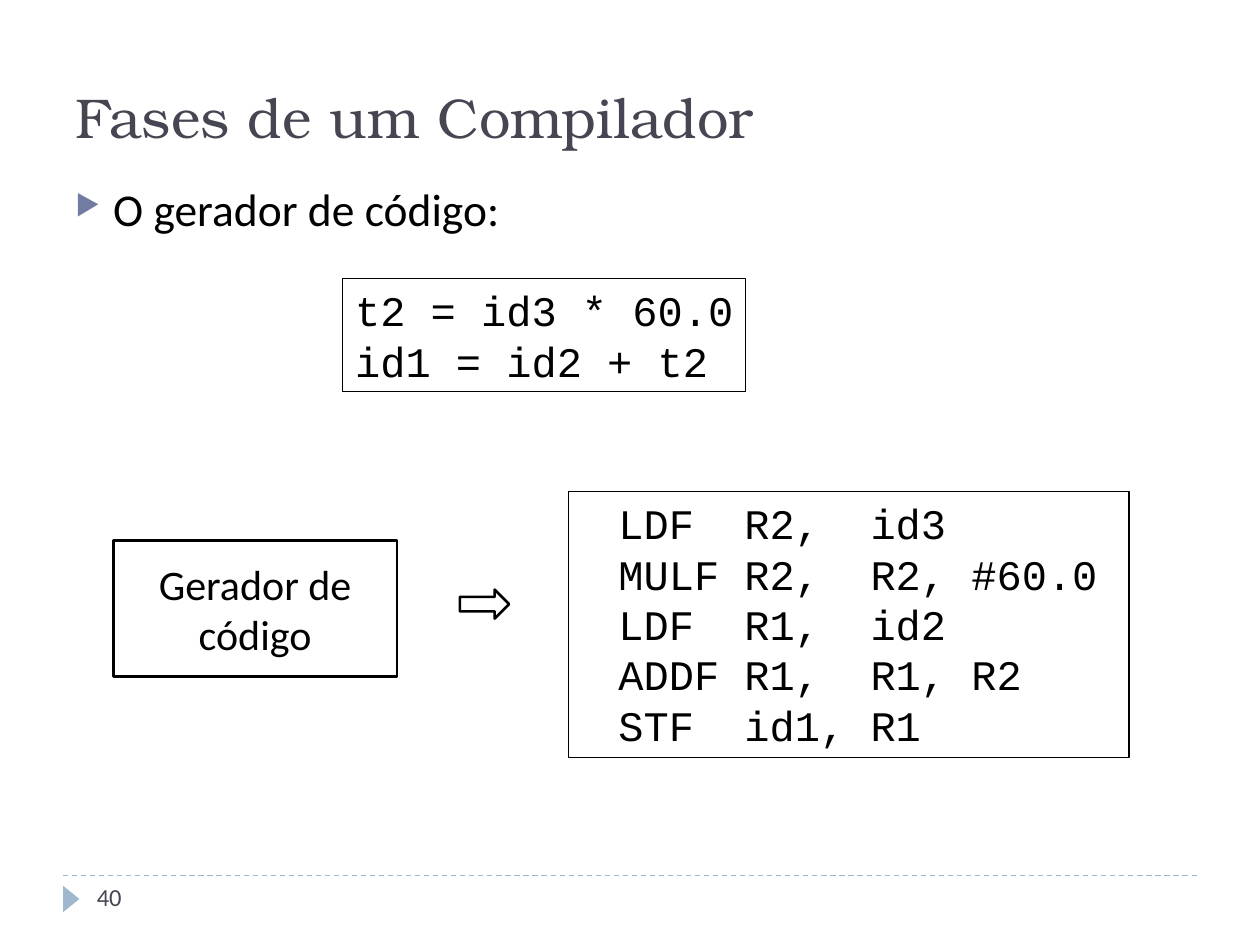
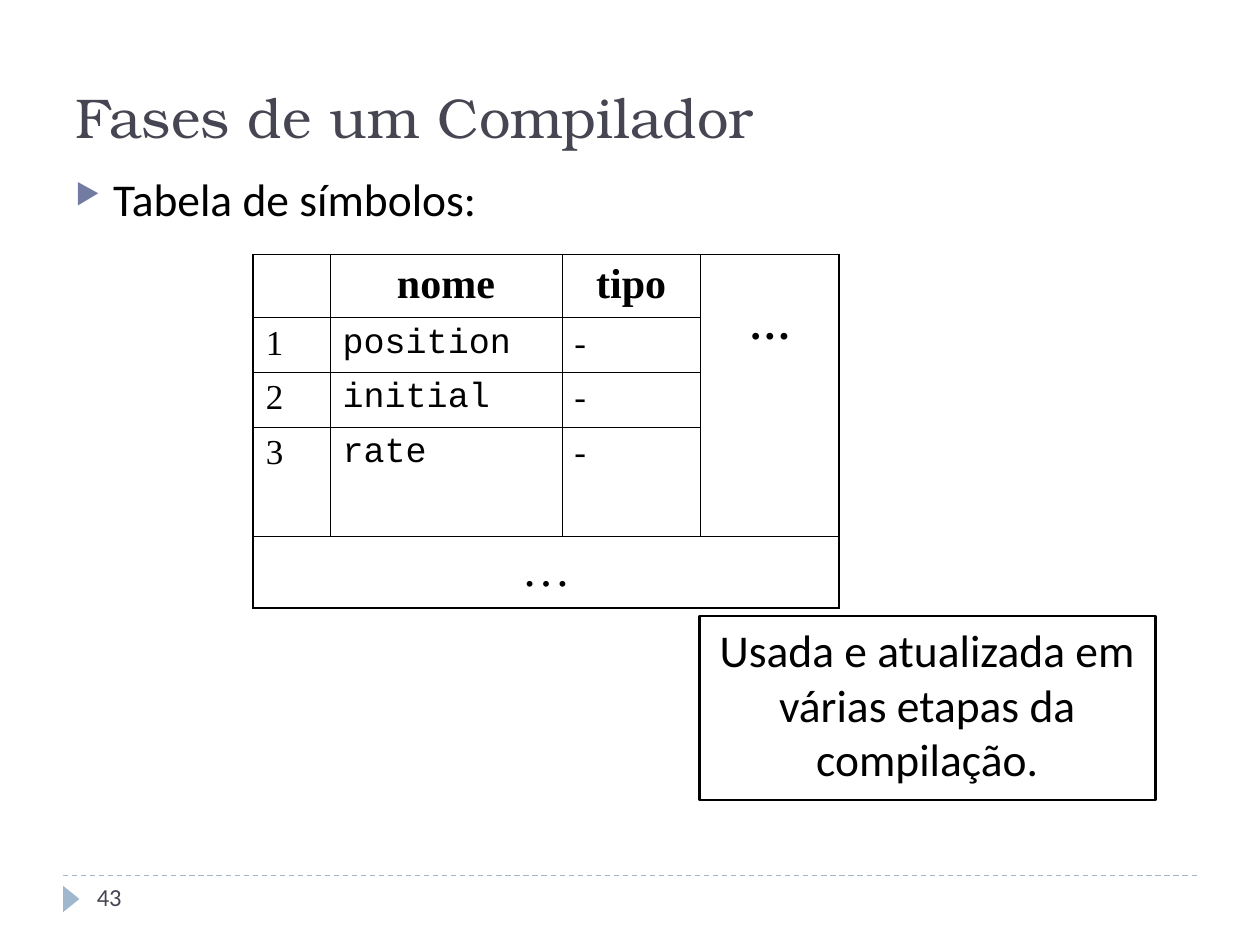
from lxml import etree
from pptx import Presentation
from pptx.dml.color import RGBColor
from pptx.enum.dml import MSO_LINE
from pptx.enum.shapes import MSO_CONNECTOR, MSO_SHAPE
from pptx.enum.text import MSO_ANCHOR, PP_ALIGN
from pptx.oxml.ns import qn
from pptx.util import Inches, Pt

RECTANGLE = MSO_SHAPE.RECTANGLE
TRIANGLE = MSO_SHAPE.ISOSCELES_TRIANGLE
ARROW = MSO_SHAPE.RIGHT_ARROW
STRAIGHT = MSO_CONNECTOR.STRAIGHT
DASH = MSO_LINE.DASH
TOP, MIDDLE = MSO_ANCHOR.TOP, MSO_ANCHOR.MIDDLE
LEFT, CENTER = PP_ALIGN.LEFT, PP_ALIGN.CENTER

BLACK, WHITE = "000000", "FFFFFF"
SLATE, PALE_BLUE, BULLET_BLUE = "464653", "9FB8CD", "727CA3"
SANS, SERIF, MONO, DISPLAY = "Calibri", "Times New Roman", "Courier New", "TeX Gyre Bonum"
GRID_STEP = 0.1
THICK, THIN = 1.08, 0.45


def rgb(value):
    return RGBColor.from_string(value)


def grid(*steps):
    return [Inches(step * GRID_STEP) for step in steps]


def write(frame, text, size=24, font=SANS, color=BLACK, bold=False, align=LEFT,
          anchor=TOP, spacing=None, indent=0, bullet=False):
    frame.word_wrap = True
    frame.vertical_anchor = anchor
    for index, line in enumerate(text.split("\n")):
        para = frame.add_paragraph() if index else frame.paragraphs[0]
        properties = para._p.get_or_add_pPr()
        properties.set("marL", str(grid(indent)[0]))
        if bullet:
            properties.set("indent", str(-grid(indent)[0]))
            tint = etree.SubElement(properties, qn("a:buClr"))
            etree.SubElement(tint, qn("a:srgbClr"), val=BULLET_BLUE)
            etree.SubElement(properties, qn("a:buSzPct"), val="62000")
            etree.SubElement(properties, qn("a:buChar"), char="▶")
        para.alignment = align
        if spacing:
            para.line_spacing = spacing
        span = para.add_run()
        span.text = line
        span.font.size = Pt(size)
        span.font.name = font
        span.font.bold = bold
        span.font.color.rgb = rgb(color)


def draw_border(cell, side, width):
    properties = cell._tc.get_or_add_tcPr()
    edge = etree.SubElement(properties, qn(f"a:ln{side}"), w=str(Pt(width)))
    if width:
        fill = etree.SubElement(edge, qn("a:solidFill"))
        etree.SubElement(fill, qn("a:srgbClr"), val=BLACK)
    else:
        etree.SubElement(edge, qn("a:noFill"))


class LectureDeck:
    def __init__(self):
        self.deck = Presentation()
        self.deck.slide_width, self.deck.slide_height = grid(100, 75)
        self.page = None

    def start_page(self, number, topic, spacing=None):
        self.page = self.deck.slides.add_slide(self.deck.slide_layouts[6])
        self.rule(5, 69.5, 95, 69.5)
        marker = self.shape(TRIANGLE, 4.6, 70.7, 2.1, 1.3, fill=PALE_BLUE)
        marker.rotation = 90
        self.text("Fases de um Compilador", 5, 3, 90, 12.5, size=32,
                  font=DISPLAY, color=SLATE, anchor=MIDDLE)
        self.text(topic, 5, 13.9, 93, 53.5, size=26, indent=3,
                  bullet=True, spacing=spacing)
        self.text(number, 6.7, 69.5, 21.7, 4, size=14, color=SLATE)

    def rule(self, left, top, right, bottom):
        line = self.page.shapes.add_connector(STRAIGHT, *grid(left, top, right, bottom))
        line.line.color.rgb = rgb(PALE_BLUE)
        line.line.width = Pt(0.75)
        line.line.dash_style = DASH
        etree.SubElement(line._element.spPr, qn("a:effectLst"))

    def text(self, text, left, top, width, height, **style):
        box = self.page.shapes.add_textbox(*grid(left, top, width, height))
        write(box.text_frame, text, **style)

    def shape(self, kind, left, top, width, height, fill=None, outline=0):
        shape = self.page.shapes.add_shape(kind, *grid(left, top, width, height))
        shape.shadow.inherit = False
        if fill:
            shape.fill.solid()
            shape.fill.fore_color.rgb = rgb(fill)
        else:
            shape.fill.background()
        if outline:
            shape.line.color.rgb = rgb(BLACK)
            shape.line.width = Pt(outline)
        else:
            shape.line.fill.background()
        return shape

    def code(self, text, *place, indent=0):
        box = self.shape(RECTANGLE, *place, outline=0.75)
        write(box.text_frame, text, font=MONO, indent=indent)

    def label(self, text, *place, **style):
        box = self.shape(RECTANGLE, *place, fill=WHITE, outline=1.5)
        write(box.text_frame, text, align=CENTER, **style)

    def table(self, left, top, columns, rows, merges):
        frame = self.page.shapes.add_table(
            len(rows), len(columns), *grid(left, top, sum(columns), sum(rows)))
        table = frame.table
        table.first_row = table.horz_banding = False
        for column, width in zip(table.columns, grid(*columns)):
            column.width = width
        for row, height in zip(table.rows, grid(*rows)):
            row.height = height
        owner = {}
        for first, last in merges:
            table.cell(*first).merge(table.cell(*last))
            for r in range(first[0], last[0] + 1):
                for c in range(first[1], last[1] + 1):
                    owner[r, c] = first
        for r in range(len(rows)):
            for c in range(len(columns)):
                cell = table.cell(r, c)
                neighbours = {"L": (r, c - 1), "R": (r, c + cell.span_width),
                              "T": (r - 1, c), "B": (r + cell.span_height, c)}
                for side, (y, x) in neighbours.items():
                    inside = 0 <= y < len(rows) and 0 <= x < len(columns)
                    joined = (r, c) in owner and owner[r, c] == owner.get((y, x))
                    width = THICK if not inside else 0 if joined else THIN
                    draw_border(cell, side, width)
                cell.fill.background()
        return table


def build_code_generator(lecture):
    lecture.start_page("40", "O gerador de código:")
    lecture.code("t2 = id3 * 60.0\nid1 = id2 + t2", 27.2, 22.1, 32, 9)
    lecture.code("LDF  R2,  id3\nMULF R2,  R2, #60.0\nLDF  R1,  id2\n"
                 "ADDF R1,  R1, R2\nSTF  id1, R1", 45.1, 39, 44.5, 21.1, indent=3)
    lecture.label("Gerador de\ncódigo", 9, 42.9, 22.5, 10.8, anchor=MIDDLE)
    lecture.shape(ARROW, 36.5, 46.8, 3.9, 2.3, fill=WHITE, outline=1.5)


def build_symbol_table(lecture):
    lecture.start_page("43", "Tabela de símbolos:", spacing=0.8)
    symbols = lecture.table(20.1, 20.2, [6.1, 18.4, 11, 11], [5, 4.3, 4.3, 8.7, 5.7],
                            [((0, 3), (3, 3)), ((4, 0), (4, 3))])
    for column, heading in enumerate(["nome", "tipo", "…"], 1):
        write(symbols.cell(0, column).text_frame, heading, font=SERIF, bold=True, align=CENTER)
    symbols.cell(0, 3).margin_top = grid(3.8)[0]
    for row, name in enumerate(["position", "initial", "rate"], 1):
        for column, (text, font) in enumerate([(str(row), SERIF), (name, MONO), ("-", SERIF)]):
            write(symbols.cell(row, column).text_frame, text, size=20, font=font)
    write(symbols.cell(4, 0).text_frame, "…", size=28, font=SERIF, align=CENTER)
    lecture.label("Usada e atualizada em várias etapas da compilação.",
                  55.5, 48.9, 36.2, 14.6, size=26)


def main():
    lecture = LectureDeck()
    build_code_generator(lecture)
    build_symbol_table(lecture)
    lecture.deck.save("out.pptx")


if __name__ == "__main__":
    main()
